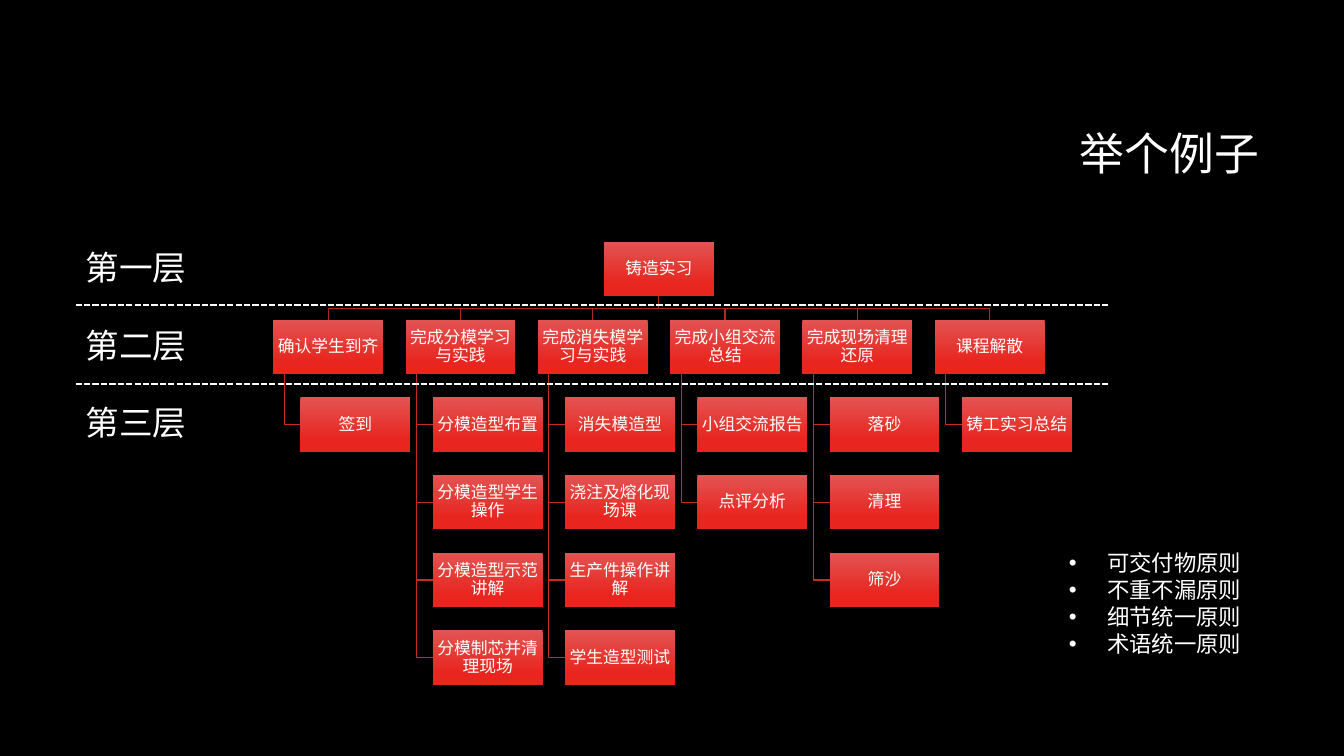
from lxml import etree
from pptx import Presentation
from pptx import util as u
from pptx.dml.color import RGBColor
from pptx.enum import dml, shapes, text
from pptx.oxml import ns

LEFT, CENTER, RIGHT = text.PP_ALIGN.LEFT, text.PP_ALIGN.CENTER, text.PP_ALIGN.RIGHT


def tint(code):
    return RGBColor.from_string(code)


def node(parent, tag, **attrs):
    return etree.SubElement(parent, ns.qn(tag), attrs)


def write(frame, lines, size=12, color="FFFFFF", font="Noto Sans CJK SC", align=LEFT,
          space=1.0, inset=None, anchor=text.MSO_ANCHOR.TOP, wrap=True, bullet=None):
    frame.word_wrap = wrap
    frame.vertical_anchor = anchor
    if inset is not None:
        frame.margin_left = frame.margin_right = u.Inches(inset)
        frame.margin_top = frame.margin_bottom = u.Inches(inset)
    for i, line in enumerate(lines):
        para = frame.paragraphs[0] if i == 0 else frame.add_paragraph()
        para.alignment, para.line_spacing = align, space
        para.space_before = u.Pt(0)
        if bullet:
            props = para._p.get_or_add_pPr()
            props.set("marL", str(u.Inches(0.38)))
            props.set("indent", str(-u.Inches(0.38)))
            node(props, "a:buFont", typeface="Arial")
            node(props, "a:buChar", char=bullet)
        run = para.add_run()
        run.text = line
        run.font.size = u.Pt(size)
        run.font.color.rgb = tint(color)
        run.font.name = font
        node(run._r.get_or_add_rPr(), "a:ea", typeface=font)


class Board:
    """Holds the style and the current slide."""
    wide, high = 1.09, 0.54
    top, base = "E25452", "E8251F"

    def __init__(self, slide):
        self.slide = slide
        fill = slide.background.fill
        fill.solid()
        fill.fore_color.rgb = tint("000000")

    def holder(self, index, box, lines, **style):
        shape = self.slide.placeholders[index]
        shape.left, shape.top, shape.width, shape.height = map(u.Inches, box)
        write(shape.text_frame, lines, **style)

    def label(self, x, y, words):
        box = self.slide.shapes.add_textbox(*map(u.Inches, (x, y, 1.21, 0.5)))
        write(box.text_frame, [words], size=24, wrap=False)

    def card(self, x, y, words):
        box = self.slide.shapes.add_shape(
            shapes.MSO_SHAPE.RECTANGLE, *map(u.Inches, (x, y, self.wide, self.high)))
        box.shadow.inherit = False
        box.line.fill.background()
        box.fill.gradient()
        box.fill.gradient_angle = 270
        for stop, place, code in zip(box.fill.gradient_stops, (0, 0.78), (self.top, self.base)):
            stop.position, stop.color.rgb = place, tint(code)
        write(box.text_frame, [words], align=CENTER, space=0.9, inset=0.01,
              anchor=text.MSO_ANCHOR.MIDDLE)

    def branch(self, points, color):
        spots = [(u.Inches(x), u.Inches(y)) for x, y in points]
        pen = self.slide.shapes.build_freeform(*spots[0])
        pen.add_line_segments(spots[1:], close=False)
        shape = pen.convert_to_shape()
        shape.shadow.inherit = False
        shape.fill.background()
        shape.line.color.rgb = tint(color)
        shape.line.width = u.Pt(0.75)

    def rule(self, y):
        line = self.slide.shapes.add_connector(
            shapes.MSO_CONNECTOR.STRAIGHT, *map(u.Inches, (0.75, y, 10.99, y)))
        line.line.color.rgb = tint("FFFFFF")
        line.line.width = u.Pt(1.5)
        line.line.dash_style = dml.MSO_LINE.SQUARE_DOT
        node(line._element.spPr, "a:effectLst")


ROOT = "铸造实习"
TREE = [
    ("确认学生到齐", ["签到"]),
    ("完成分模学习与实践", ["分模造型布置", "分模造型学生操作", "分模造型示范讲解", "分模制芯并清理现场"]),
    ("完成消失模学习与实践", ["消失模造型", "浇注及熔化现场课", "生产件操作讲解", "学生造型测试"]),
    ("完成小组交流总结", ["小组交流报告", "点评分析"]),
    ("完成现场清理还原", ["落砂", "清理", "筛沙"]),
    ("课程解散", ["铸工实习总结"]),
]
RULES = ["可交付物原则", "不重不漏原则", "细节统一原则", "术语统一原则"]
ROOT_X, COL_X, COL_GAP = 5.99, 2.71, 1.312
ROW_Y, ROW_GAP = 2.4, 0.771


def col(i):
    return COL_X + i * COL_GAP


def row(i):
    return ROW_Y + i * ROW_GAP


def main():
    deck = Presentation()
    deck.slide_width, deck.slide_height = u.Inches(13.33), u.Inches(7.5)
    board = Board(deck.slides.add_slide(deck.slide_layouts[1]))
    half, high = board.wide / 2, board.high

    # Title
    board.holder(0, (3.17, 0.84, 9.42, 1.41), ["举个例子"], size=32, align=RIGHT,
                 space=0.9, anchor=text.MSO_ANCHOR.MIDDLE)

    # Branches, behind the cards
    mid, foot, bar = ROOT_X + half, row(0) + high, 3.06
    for i, (_, tasks) in enumerate(TREE):
        x = col(i)
        board.branch([(mid, foot), (mid, bar), (x + half, bar), (x + half, row(1))], "B32520")
        for j in range(len(tasks)):
            y = row(j + 2) + high / 2
            board.branch([(x + 0.11, row(1) + high), (x + 0.11, y), (x + 0.27, y)], "CA2A24")

    # Cards
    board.card(ROOT_X, row(0), ROOT)
    for i, (stage, tasks) in enumerate(TREE):
        board.card(col(i), row(1), stage)
        for j, task in enumerate(tasks):
            board.card(col(i) + 0.27, row(j + 2), task)

    # Levels
    for y in (3.03, 3.81):
        board.rule(y)
    for i, level in enumerate(["第一层", "第二层", "第三层"]):
        board.label(0.75, row(i), level)

    # Principles
    board.holder(1, (10.5, 5.4, 1.93, 1.18), RULES, size=16, wrap=False, bullet="•")

    deck.save("out.pptx")


if __name__ == "__main__":
    main()
